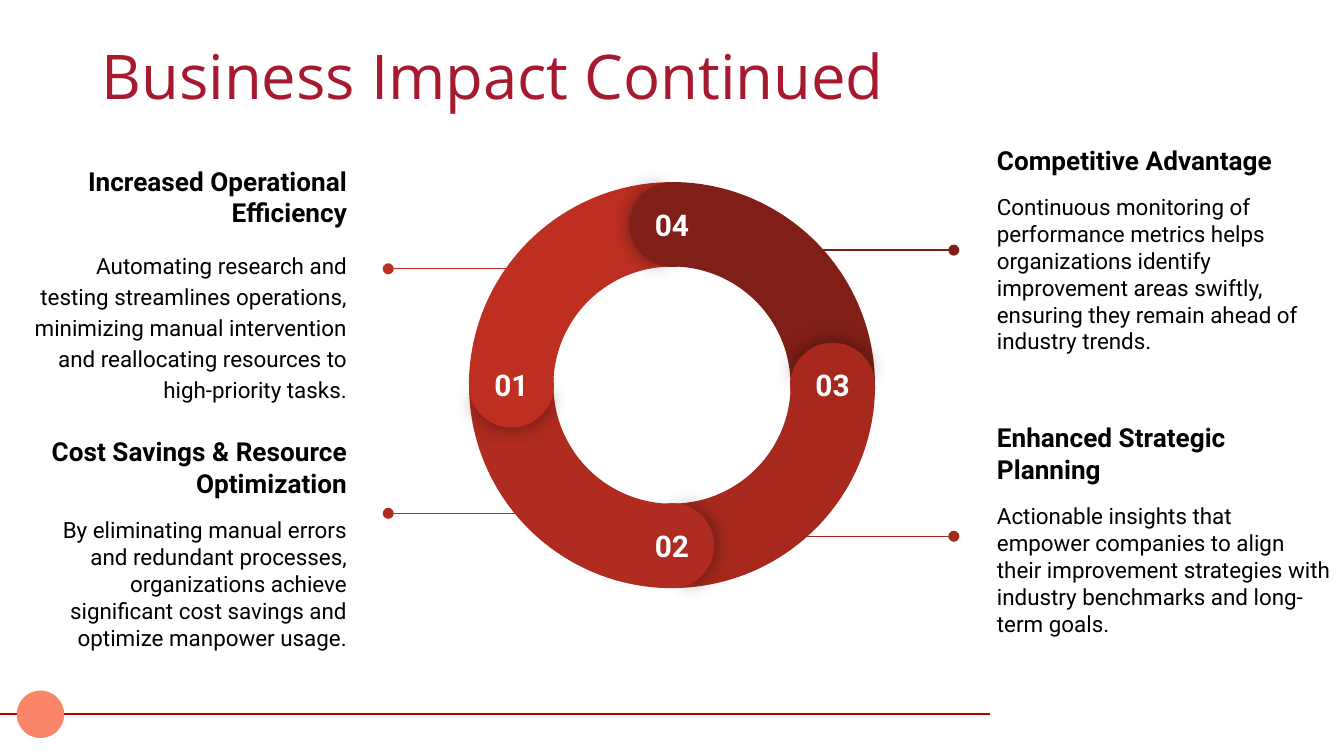
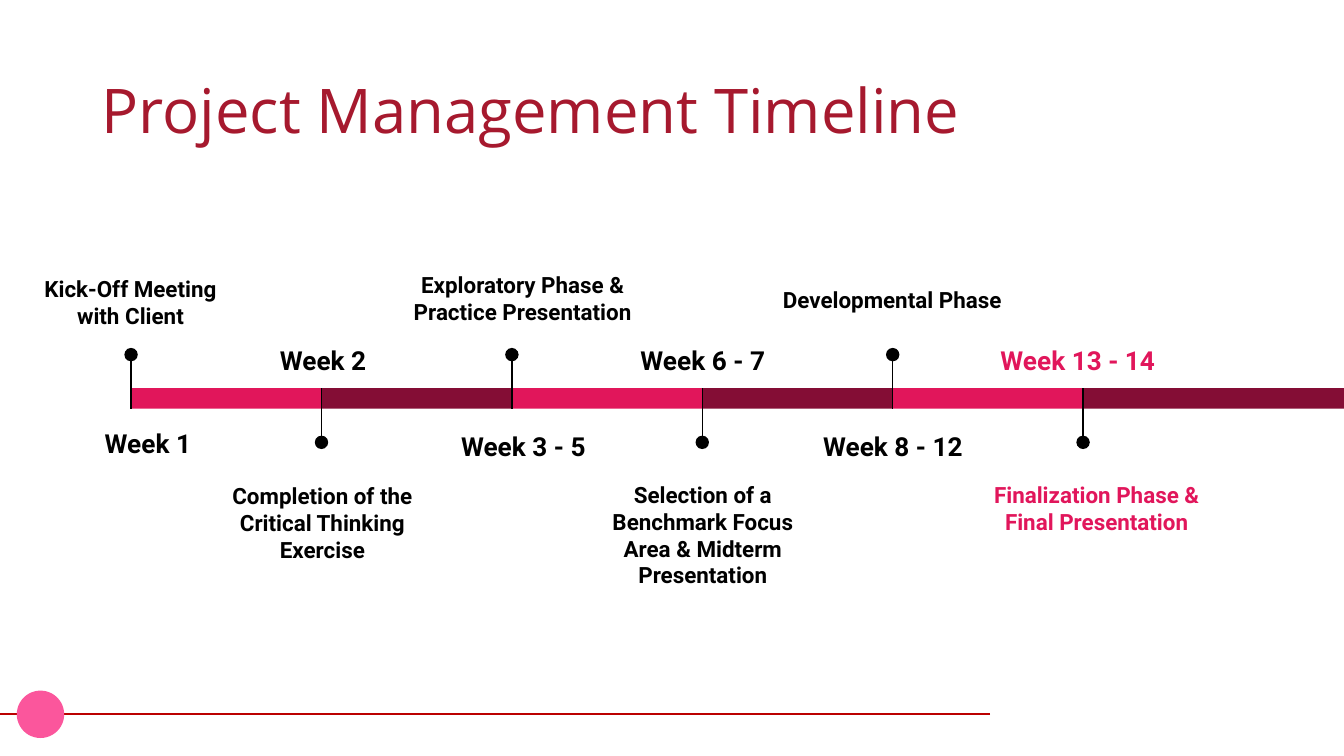
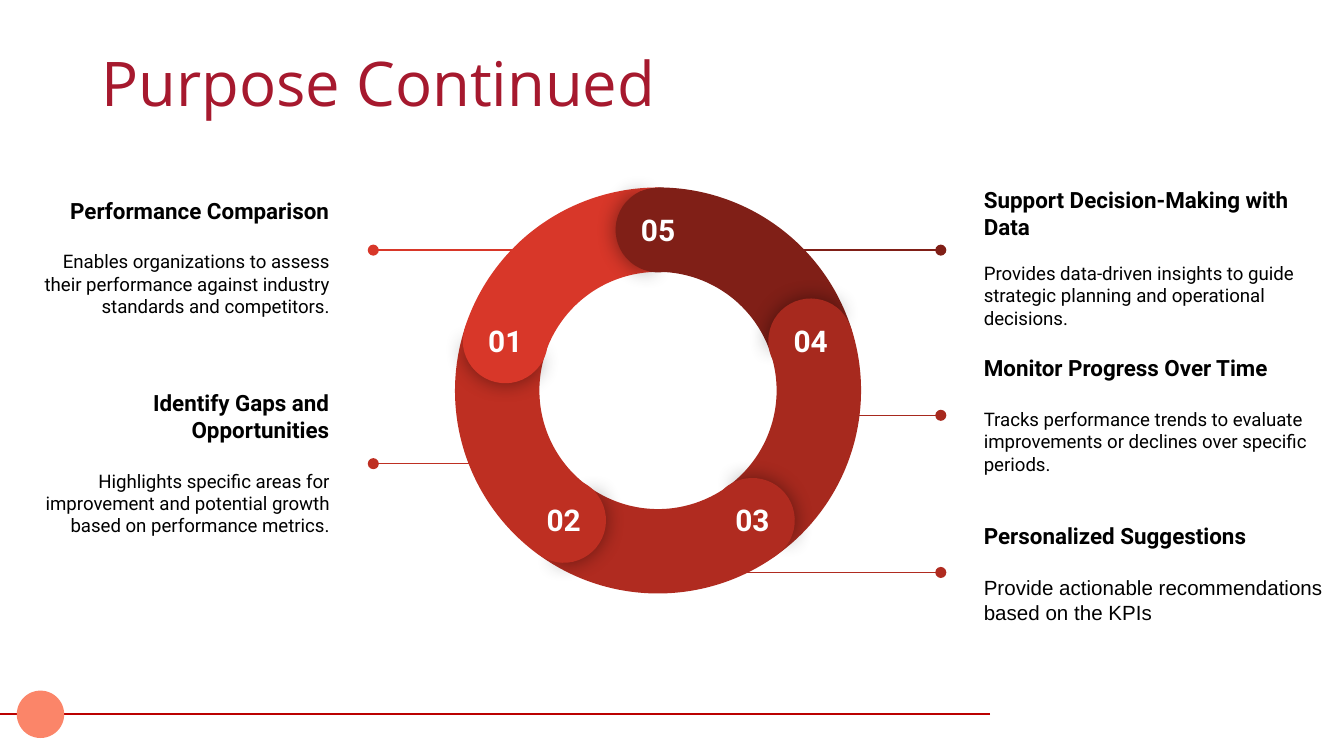
from collections import namedtuple
from dataclasses import dataclass
from math import cos, radians, sin

from lxml.etree import SubElement
from pptx import Presentation
from pptx.dml.color import RGBColor
from pptx.enum.shapes import MSO_CONNECTOR, MSO_SHAPE
from pptx.enum.text import MSO_ANCHOR, MSO_AUTO_SIZE, PP_ALIGN
from pptx.oxml.ns import qn
from pptx.util import Pt


@dataclass(frozen=True)
class Theme:
    title_font: str = "Open Sans"
    body_font: str = "Roboto"
    alt_font: str = "Arial"
    title: str = "A6192E"
    rule: str = "BB0000"
    black: str = "000000"
    white: str = "FFFFFF"
    coral: str = "FB8569"
    pink: str = "FB569C"
    magenta: str = "E1165B"
    wine: str = "840D35"
    reds: tuple = ("D83729", "BE2F22", "B02B20", "A7291E", "801F17")
    title_size: float = 33
    number_size: float = 16
    week_size: float = 14
    caption_size: float = 12


T = Theme()
LEFT, CENTER, RIGHT = PP_ALIGN.LEFT, PP_ALIGN.CENTER, PP_ALIGN.RIGHT
Para = namedtuple("Para", "text size bold align color font spacing before",
                  defaults=(True, CENTER, T.black, T.body_font, 1.0, 0))
Callout = namedtuple("Callout", "box line color align head body gap spacing size font",
                     defaults=(1.0, None, T.body_font))


def add_shape(s, kind, x, y, w, h, color, rotation=0, adjustments=()):
    sp = s.shapes.add_shape(kind, Pt(x), Pt(y), Pt(w), Pt(h))
    sp.shadow.inherit = False
    sp.fill.solid()
    sp.fill.fore_color.rgb = RGBColor.from_string(color)
    sp.line.fill.background()
    sp.rotation = rotation
    for i, value in enumerate(adjustments):
        sp.adjustments[i] = value
    return sp


def add_line(s, x1, y1, x2, y2, color, dot=False):
    cxn = s.shapes.add_connector(MSO_CONNECTOR.STRAIGHT, Pt(x1), Pt(y1), Pt(x2), Pt(y2))
    cxn.line.width = Pt(0.75)
    cxn.line.color.rgb = RGBColor.from_string(color)
    sp_pr = cxn.element.spPr
    if dot:
        SubElement(sp_pr.find(qn("a:ln")), qn("a:tailEnd"), type="oval")
    SubElement(sp_pr, qn("a:effectLst"))
    return cxn


prs = Presentation()
prs.slide_width, prs.slide_height = Pt(720), Pt(405)
layout = prs.slide_layouts[5]

# Titles and footer discs
slides = []
for title, top, disc_color in [
    ("Business Impact Continued", 3.5, T.coral),
    ("Project Management Timeline", 21.5, T.pink),
    ("Purpose Continued", 7, T.coral),
]:
    s = prs.slides.add_slide(layout)
    slides.append(s)
    sp = s.shapes.title
    sp.left, sp.top, sp.width, sp.height = Pt(49.5), Pt(top), Pt(620.5), Pt(78.5)
    tf = sp.text_frame
    tf.text = title
    tf.auto_size = MSO_AUTO_SIZE.NONE
    tf.vertical_anchor = MSO_ANCHOR.MIDDLE
    tf.margin_left = tf.margin_right = Pt(5)
    tf.margin_top = tf.margin_bottom = Pt(3)
    p = tf.paragraphs[0]
    p.alignment = LEFT
    p.line_spacing = 0.9
    p.font.name, p.font.size = T.title_font, Pt(T.title_size)
    p.font.color.rgb = RGBColor.from_string(T.title)
    add_shape(s, MSO_SHAPE.ROUNDED_RECTANGLE, 9, 370, 25.4, 25.4, disc_color, 0, [0.5])

# Footer rule, shared through the layout
rule = add_line(slides[0], 530.5, 382.5, 0, 382.5, T.rule)
layout.shapes.element.insert(2, rule.element)

# Callouts: text box, line (from x, to x, y), colour and wording
impact = [
    Callout((6, 92, 187, 120), (290, 208, 144), T.reds[1], RIGHT,
            "Increased Operational Efficiency",
            "Automating research and testing streamlines operations, minimizing manual "
            "intervention and reallocating resources to high-priority tasks.", 11, 1.15),
    Callout((6, 222.5, 187, 137), (311, 208, 275), T.reds[2], RIGHT,
            "Cost Savings & Resource Optimization",
            "By eliminating manual errors and redundant processes, organizations achieve "
            "significant cost savings and optimize manpower usage.", 9.5),
    Callout((527, 65, 188, 137), (410.5, 511, 134), T.reds[4], LEFT,
            "Competitive Advantage",
            "Continuous monitoring of performance metrics helps organizations identify "
            "improvement areas swiftly, ensuring they remain ahead of industry trends.", 9.5),
    Callout((527, 219.5, 193, 128), (410.5, 511, 287.3), T.reds[3], LEFT,
            "Enhanced Strategic Planning",
            "Actionable insights that empower companies to align their improvement "
            "strategies with industry benchmarks and long-term goals.", 9.5),
]
purpose = [
    Callout((4.5, 101.5, 179, 72.7), (296.6, 200, 134), T.reds[0], RIGHT,
            "Performance Comparison",
            "Enables organizations to assess their performance against industry "
            "standards and competitors.", 14),
    Callout((4.5, 211.7, 179, 72.7), (273.6, 200, 248.4), T.reds[1], RIGHT,
            "Identify Gaps and Opportunities",
            "Highlights specific areas for improvement and potential growth based on "
            "performance metrics.", 14),
    Callout((520, 270.7, 196, 72.7), (359.3, 504, 306.7), T.reds[2], LEFT,
            "Personalized Suggestions",
            "Provide actionable recommendations based on the KPIs", 14,
            size=11, font=T.alt_font),
    Callout((520, 101.5, 196, 72.7), (402.5, 504, 134), T.reds[4], LEFT,
            "Support Decision-Making with Data",
            "Provides data-driven insights to guide strategic planning and operational "
            "decisions.", 11.7),
    Callout((520, 185.8, 196, 72.7), (434, 504, 222.5), T.reds[3], LEFT,
            "Monitor Progress Over Time",
            "Tracks performance trends to evaluate improvements or declines over specific "
            "periods.", 14),
]

# Rings with callouts; texts are gathered here and written last
texts = []
RING, CAP, RADIUS = 217.5, 45.4, 86
DEGREE = 0.6  # one degree in adjustment units
for s, callouts, cx, cy, cap_tilt, head_size, body_size in [
    (slides[0], impact, 360, 206.3, 0.5, 14, 12),
    (slides[2], purpose, 352.5, 209.2, -3.8, 12, 10),
]:
    for c in callouts:
        x1, x2, y = c.line
        add_line(s, x1, y, x2, y, c.color, dot=True)
        texts.append((s, c.box, MSO_ANCHOR.MIDDLE, [
            Para(c.head, head_size, align=c.align),
            Para(c.body, c.size or body_size, False, c.align, font=c.font,
                 spacing=c.spacing, before=c.gap),
        ]))

    # Segments run clockwise from the top, highest number first
    count = len(callouts)
    step = 360 / count
    segments = [(i * step, color, count - i)
                for i, color in enumerate(T.reds[:-count - 1:-1])]
    for turn, color, number in segments:
        add_shape(s, MSO_SHAPE.BLOCK_ARC, cx - RING / 2, cy - RING / 2, RING, RING, color,
                  (60 + turn) % 360, [210 * DEGREE, (210 + step) * DEGREE, 0.208])

    # Round caps: a shadowed front and a plain back over its own segment
    for turn, color, number in segments:
        x = cx + RADIUS * cos(radians(turn - 90))
        y = cy + RADIUS * sin(radians(turn - 90))
        for half_turn, start, end in [(0, 103.2, 249.9), (180, 67.1, 286.4)]:
            sp = add_shape(s, MSO_SHAPE.PIE, x - CAP / 2, y - CAP / 2, CAP, CAP, color,
                           (turn + half_turn + cap_tilt) % 360,
                           [start * DEGREE, end * DEGREE])
            if half_turn == 0:
                effects = sp.element.spPr.find(qn("a:effectLst"))
                shadow = SubElement(effects, qn("a:outerShdw"), blurRad=str(Pt(11.2)),
                                    dist="0", dir="0", algn="ctr", rotWithShape="0")
                shade = SubElement(shadow, qn("a:srgbClr"), val=T.black)
                SubElement(shade, qn("a:alpha"), val="43000")
        texts.append((s, (x - 20, y - 17, 40, 21), MSO_ANCHOR.TOP,
                      [Para(f"{number:02}", T.number_size, color=T.white)]))

# Timeline: week and caption with their boxes, alternating above and below the bar
s = slides[1]
events = [
    ("Week 1", (45.4, 219, 67.7, 29.5),
     "Kick-Off Meeting with Client", (9.4, 140.4, 121, 37.5)),
    ("Week 2", (138.2, 175, 69.8, 29.5),
     "Completion of the Critical Thinking Exercise", (106.5, 251.3, 132.5, 38)),
    ("Week 3 - 5", (239, 221, 82.8, 29.5),
     "Exploratory Phase & Practice Presentation", (213.8, 138.2, 132.5, 41)),
    ("Week 6 - 7", (334, 175, 85, 29.5),
     "Selection of a Benchmark Focus Area & Midterm Presentation",
     (310.3, 250.5, 132.5, 67.7)),
    ("Week 8 - 12", (433.4, 221, 90, 29.5),
     "Developmental Phase", (411.8, 146.2, 132.5, 29.5)),
    ("Week 13 - 14", (526.3, 175, 102.2, 29.5),
     "Finalization Phase & Final Presentation", (521.3, 250.5, 132.5, 39)),
]
START, STEP, BAR_TOP, BAR_H, DOT = 70.25, 102, 208, 11, 7.2
last = len(events) - 1
for i, (week, week_box, caption, caption_box) in enumerate(events):
    x = START + i * STEP
    above = i % 2 == 0
    width = 720 - x if i == last else STEP
    add_shape(s, MSO_SHAPE.RECTANGLE, x, BAR_TOP, width, BAR_H,
              T.magenta if above else T.wine)
    dot_y, stem_end = (190, BAR_TOP + BAR_H) if above else (237, BAR_TOP)
    add_line(s, x, dot_y, x, stem_end, T.black)
    add_shape(s, MSO_SHAPE.OVAL, x - DOT / 2, dot_y - DOT / 2, DOT, DOT, T.black)
    color = T.magenta if i == last else T.black
    texts.append((s, week_box, MSO_ANCHOR.TOP,
                  [Para(week, T.week_size, color=color, spacing=1.15)]))
    texts.append((s, caption_box, MSO_ANCHOR.TOP,
                  [Para(caption, T.caption_size, color=color)]))

# Text boxes
for s, box, anchor, paras in texts:
    tf = s.shapes.add_textbox(*[Pt(v) for v in box]).text_frame
    tf.word_wrap = True
    tf.vertical_anchor = anchor
    tf.margin_left = tf.margin_right = tf.margin_top = tf.margin_bottom = Pt(7.2)
    for i, para in enumerate(paras):
        p = tf.add_paragraph() if i else tf.paragraphs[0]
        p.text = para.text
        p.alignment = para.align
        p.line_spacing = para.spacing
        if para.before:
            p.space_before = Pt(para.before)
        p.font.name, p.font.size, p.font.bold = para.font, Pt(para.size), para.bold
        p.font.color.rgb = RGBColor.from_string(para.color)

prs.save("out.pptx")
